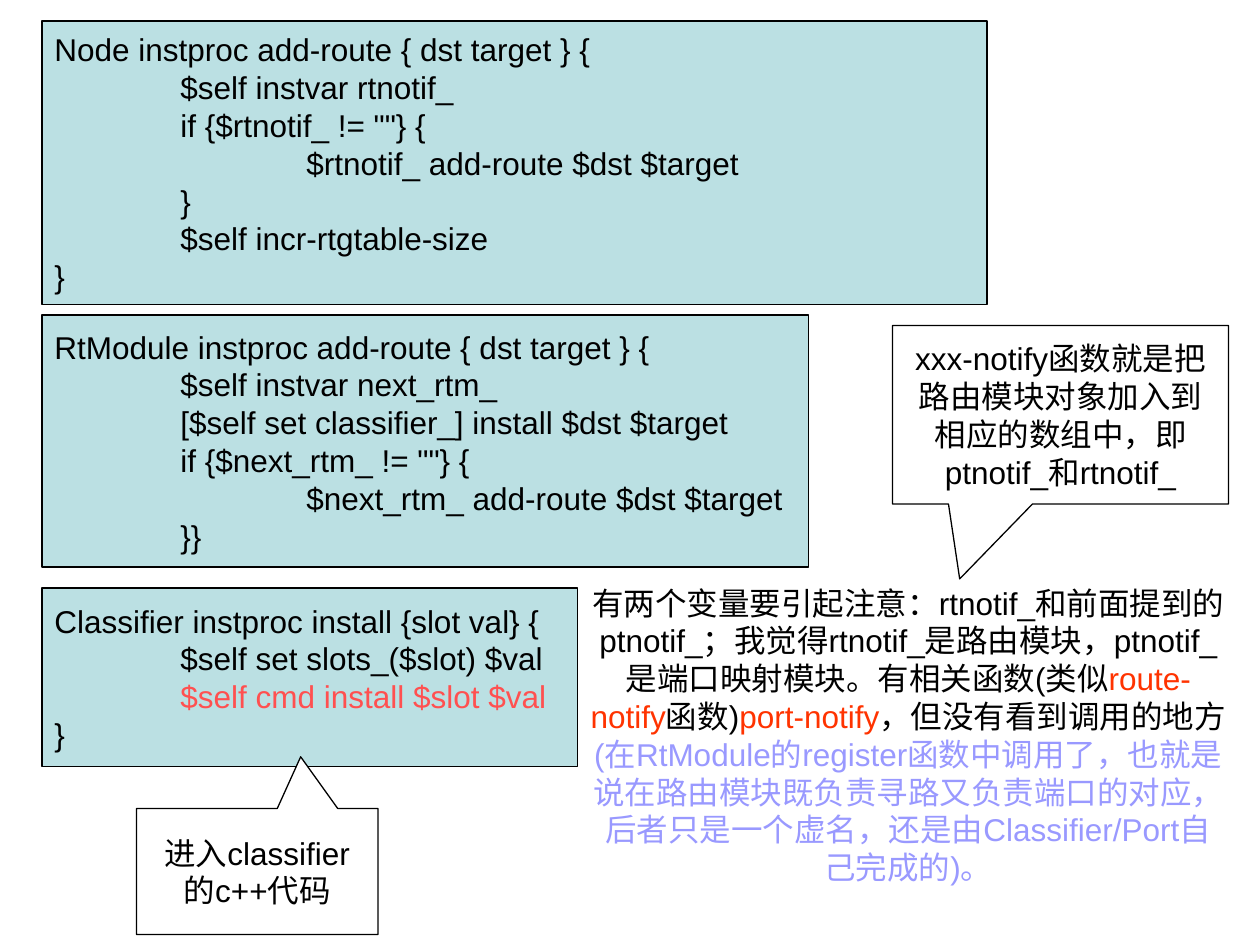
from lxml import etree
from pptx import Presentation
from pptx.dml.color import RGBColor
from pptx.enum.shapes import MSO_SHAPE
from pptx.enum.text import MSO_ANCHOR, MSO_AUTO_SIZE, PP_ALIGN
from pptx.oxml.ns import qn
from pptx.util import Inches, Pt

RECTANGLE = MSO_SHAPE.RECTANGLE
CALLOUT = MSO_SHAPE.RECTANGULAR_CALLOUT
MIDDLE = MSO_ANCHOR.MIDDLE
TOP = MSO_ANCHOR.TOP
GROW = MSO_AUTO_SIZE.SHAPE_TO_FIT_TEXT
LEFT = PP_ALIGN.LEFT
CENTER = PP_ALIGN.CENTER

BLACK = RGBColor(0x00, 0x00, 0x00)
WHITE = RGBColor(0xFF, 0xFF, 0xFF)
PALE_TEAL = RGBColor(0xBB, 0xE0, 0xE3)
CORAL = RGBColor(0xFF, 0x50, 0x50)
ORANGE_RED = RGBColor(0xFF, 0x33, 0x00)
LAVENDER = RGBColor(0x99, 0x99, 0xFF)

COLUMNS, ROWS = 120, 90
CELL = Inches(10) // COLUMNS
TAB_STOPS = [Inches(1), Inches(2)]

NODE_CODE = """Node instproc add-route { dst target } {
\t$self instvar rtnotif_
\tif {$rtnotif_ != ""} {
\t\t$rtnotif_ add-route $dst $target
\t}
\t$self incr-rtgtable-size
}"""

MODULE_CODE = """RtModule instproc add-route { dst target } {
\t$self instvar next_rtm_
\t[$self set classifier_] install $dst $target
\tif {$next_rtm_ != ""} {
\t\t$next_rtm_ add-route $dst $target
\t}}"""

CLASSIFIER_CODE = """Classifier instproc install {slot val} {
\t$self set slots_($slot) $val
\t$self cmd install $slot $val
}"""

CLASSIFIER_NOTE = "进入classifier的c++代码"
NOTIFY_NOTE = "xxx-notify函数就是把路由模块对象加入到相应的数组中，即ptnotif_和rtnotif_"

REMARK = [
    ("有两个变量要引起注意：rtnotif_和前面提到的ptnotif_；我觉得rtnotif_是路由模块，"
     "ptnotif_是端口映射模块。有相关函数(类似", BLACK),
    ("route-notify", ORANGE_RED),
    ("函数)", BLACK),
    ("port-notify", ORANGE_RED),
    ("，但没有看到调用的地方", BLACK),
    ("(在RtModule的register函数中调用了，也就是说在路由模块既负责寻路又负责端口的对应，"
     "后者只是一个虚名，还是由Classifier/Port自己完成的)。", LAVENDER),
]


def on_grid(*cells):
    return [CELL * count for count in cells]


def set_tabs(para):
    tabs = etree.SubElement(para._p.get_or_add_pPr(), qn("a:tabLst"))
    for stop in TAB_STOPS:
        etree.SubElement(tabs, qn("a:tab"), pos=str(stop), algn="l")


def write(box, paragraphs, alignment, **frame_format):
    """Fill a box with paragraphs, each a list of (text, colour) spans."""
    frame = box.text_frame
    for name, value in frame_format.items():
        setattr(frame, name, value)
    for index, spans in enumerate(paragraphs):
        para = frame.add_paragraph() if index else frame.paragraphs[0]
        para.alignment = alignment
        set_tabs(para)
        for text, colour in spans:
            span = para.add_run()
            span.text = text
            for name, value in {"name": "Arial", "size": Pt(18)}.items():
                setattr(span.font, name, value)
            span.font.color.rgb = colour


def add_panel(page, kind, cells, fill):
    box = page.shapes.add_shape(kind, *on_grid(*cells))
    box.shadow.inherit = False
    box.fill.solid()
    box.fill.fore_color.rgb = fill
    box.line.color.rgb = BLACK
    box.line.width = Pt(0.75)
    return box


def add_code(page, cells, code, marked=None):
    """Draw a code panel; the line with index marked is highlighted."""
    box = add_panel(page, RECTANGLE, cells, PALE_TEAL)
    lines = [[(line, CORAL if index == marked else BLACK)]
             for index, line in enumerate(code.splitlines())]
    write(box, lines, LEFT, word_wrap=False, vertical_anchor=MIDDLE)


def add_callout(page, cells, tip, text):
    """Draw a callout; tip is the offset from its centre in shares of its size."""
    box = add_panel(page, CALLOUT, cells, WHITE)
    for index, share in enumerate(tip):
        box.adjustments[index] = share
    write(box, [[(text, BLACK)]], CENTER, word_wrap=True, vertical_anchor=MIDDLE)


def add_remark(page, cells, spans):
    box = page.shapes.add_textbox(*on_grid(*cells))
    write(box, [spans], CENTER, word_wrap=True, auto_size=GROW, vertical_anchor=TOP)


def main():
    deck = Presentation()
    deck.slide_width, deck.slide_height = on_grid(COLUMNS, ROWS)
    page = deck.slides.add_slide(deck.slide_layouts[6])

    add_code(page, (4, 30, 73, 24), MODULE_CODE)
    add_code(page, (4, 2, 90, 27), NODE_CODE)
    add_code(page, (4, 56, 51, 17), CLASSIFIER_CODE, marked=2)
    add_callout(page, (13, 77, 23, 12), (0.18, -0.91), CLASSIFIER_NOTE)
    add_remark(page, (55, 55, 63, 30), REMARK)
    add_callout(page, (85, 31, 32, 17), (-0.3, 0.92), NOTIFY_NOTE)

    deck.save("out.pptx")


if __name__ == "__main__":
    main()
